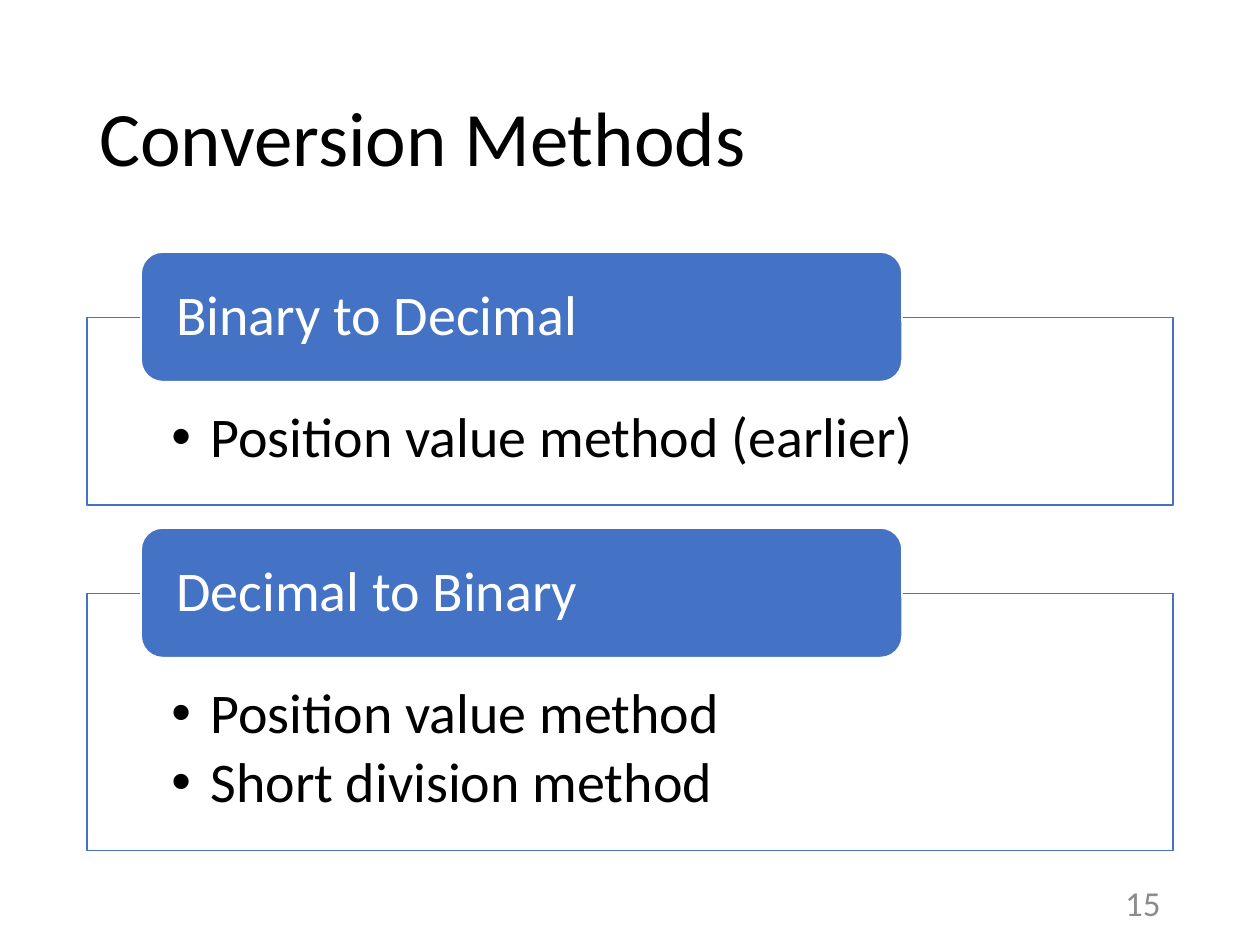
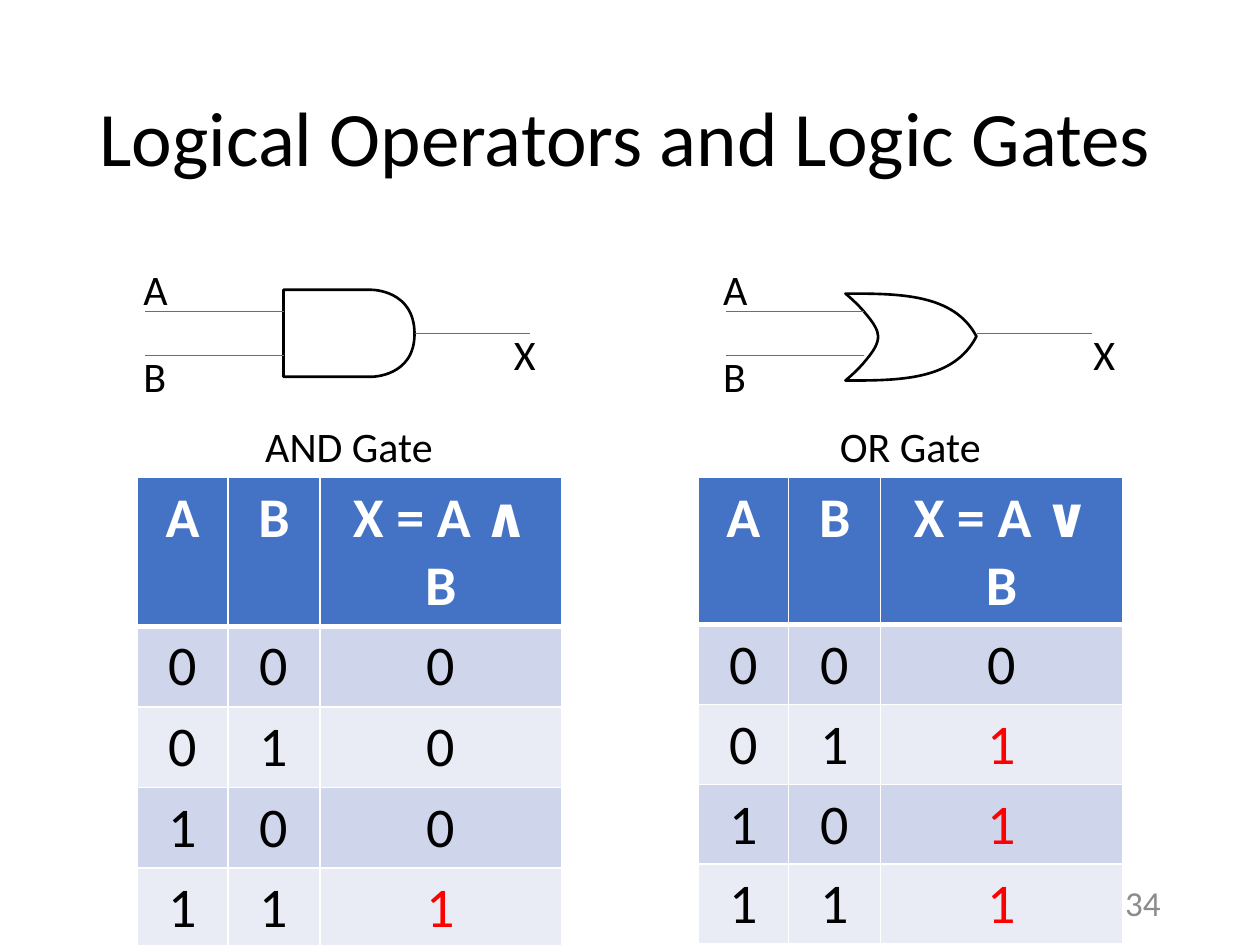
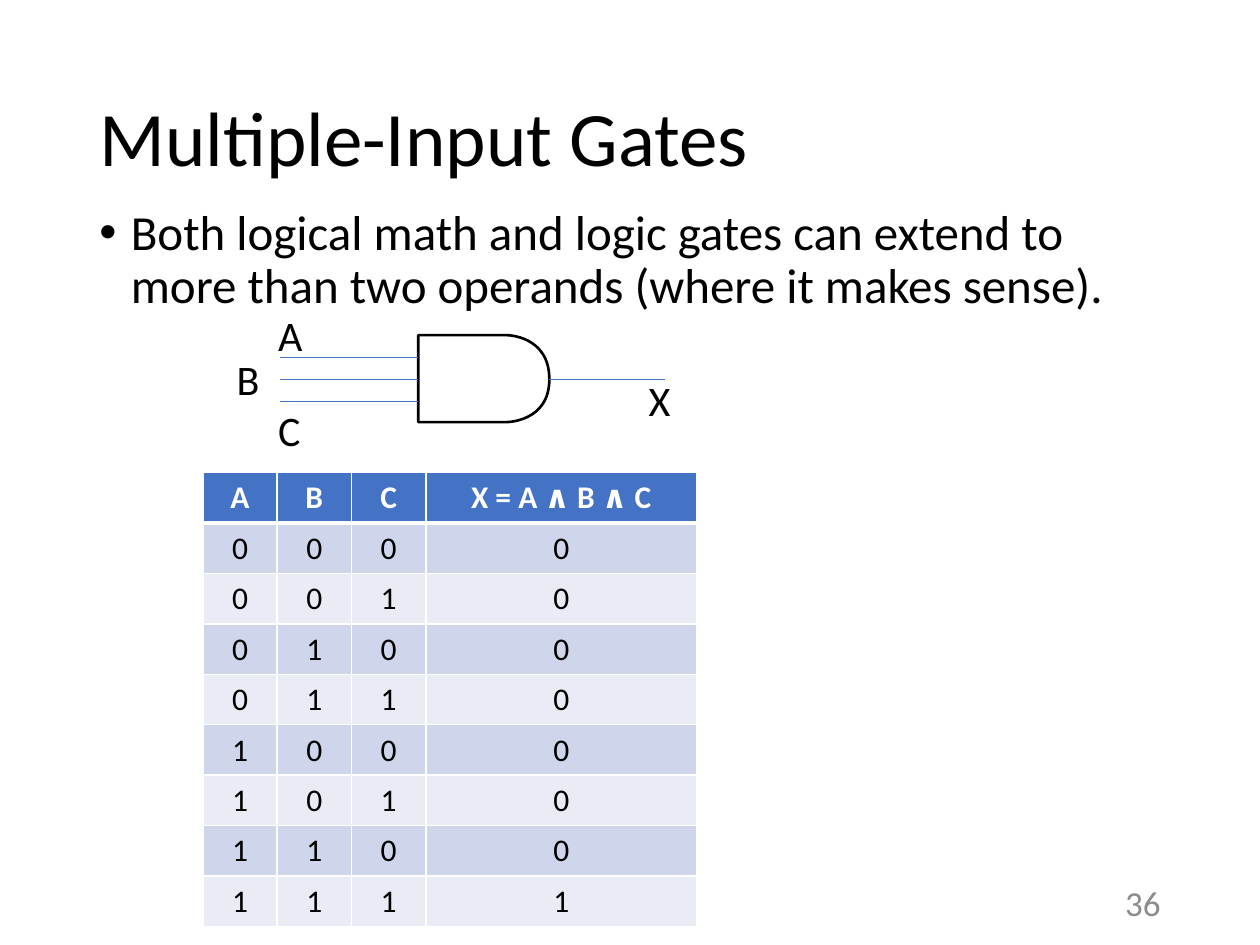
from dataclasses import dataclass
from itertools import product

from lxml.etree import SubElement
from pptx import Presentation
from pptx.dml.color import RGBColor
from pptx.enum.shapes import MSO_CONNECTOR, MSO_SHAPE
from pptx.enum.text import MSO_ANCHOR, MSO_AUTO_SIZE, PP_ALIGN
from pptx.oxml.ns import qn
from pptx.util import Inches, Pt


@dataclass(frozen=True)
class Theme:
    font: str = "Calibri"
    black: str = "000000"
    white: str = "FFFFFF"
    blue: str = "4472C4"
    red: str = "FF0000"
    grey: str = "8C8C8C"
    bands: tuple = ("CFD5EA", "E9EBF5")
    title_size: int = 44
    large_size: int = 32
    body_size: int = 28
    label_size: int = 24
    number_size: int = 20
    small_size: int = 18


THEME = Theme()
GATE_WIDTH = 1.04
INPUT_LENGTH, OUTPUT_LENGTH = 1.1, 0.92
AND_SEGMENTS = [
    [(0.7, 0)],
    [(0.7, 0), (1.04, 0), (1.04, 0.35)],
    [(1.04, 0.69), (0.7, 0.69), (0.7, 0.69)],
    [(0, 0.69)],
]
OR_SEGMENTS = [
    [(0.43, 0), (0.86, 0), (1.04, 0.34)],
    [(0.86, 0.69), (0.43, 0.69), (0, 0.69)],
    [(0, 0.69), (0.1, 0.61), (0.17, 0.52)],
    [(0.22, 0.46), (0.26, 0.4), (0.26, 0.34)],
    [(0.26, 0.29), (0.22, 0.23), (0.17, 0.17)],
    [(0.1, 0.08), (0, 0), (0, 0)],
]


def color(value):
    return RGBColor.from_string(value)


def add_bullet(para, indent):
    properties = para._p.get_or_add_pPr()
    properties.set("marL", str(Inches(indent)))
    properties.set("indent", str(-Inches(indent)))
    SubElement(properties, qn("a:buFont")).set("typeface", "Arial")
    SubElement(properties, qn("a:buChar")).set("char", "•")


def write(frame, *lines, size, ink=THEME.black, bold=False, align=PP_ALIGN.LEFT,
          anchor=None, insets=None, spacing=None, before=0, after=0,
          bullet_indent=None, wrap=True):
    frame.word_wrap = wrap
    if anchor is not None:
        frame.vertical_anchor = anchor
    if insets:
        (frame.margin_left, frame.margin_top,
         frame.margin_right, frame.margin_bottom) = map(Inches, insets)
    for index, line in enumerate(lines):
        para = frame.add_paragraph() if index else frame.paragraphs[0]
        para.alignment = align
        para.line_spacing = spacing
        para.space_before, para.space_after = Pt(before), Pt(after)
        if bullet_indent:
            add_bullet(para, bullet_indent)
        span = para.add_run()
        span.text = line
        span.font.name = THEME.font
        span.font.size = Pt(size)
        span.font.bold = bold
        span.font.color.rgb = color(ink)


def add_text(page, area, *lines, **text_format):
    box = page.shapes.add_textbox(*map(Inches, area))
    write(box.text_frame, *lines, **text_format)
    return box


def add_label(page, text, left, top, width=0.38, align=PP_ALIGN.LEFT):
    box = add_text(page, (left, top, width, 0.5), text,
                   size=THEME.label_size, align=align, wrap=False)
    box.text_frame.auto_size = MSO_AUTO_SIZE.SHAPE_TO_FIT_TEXT


def add_page(deck, title, number):
    page = deck.slides.add_slide(deck.slide_layouts[6])
    add_text(page, (0.69, 0.4, 8.62, 1.45), title, size=THEME.title_size,
             anchor=MSO_ANCHOR.MIDDLE, spacing=0.9)
    add_text(page, (8.64, 6.96, 0.67, 0.4), str(number), size=THEME.number_size,
             ink=THEME.grey, align=PP_ALIGN.RIGHT, anchor=MSO_ANCHOR.MIDDLE)
    return page


def add_panel(page, kind, area, fill, line):
    panel = page.shapes.add_shape(kind, *map(Inches, area))
    panel.shadow.inherit = False
    panel.fill.solid()
    panel.fill.fore_color.rgb = color(fill)
    panel.line.color.rgb = color(line)
    panel.line.width = Pt(1)
    return panel


def add_method_group(page, top, height, heading, methods):
    frame = add_panel(page, MSO_SHAPE.RECTANGLE, (0.69, top + 0.52, 8.62, height),
                      THEME.white, THEME.blue)
    write(frame.text_frame, *methods, size=THEME.large_size, anchor=MSO_ANCHOR.TOP,
          insets=(0.67, 0.73, 0.67, 0.25), spacing=0.9, after=4.5, bullet_indent=0.31)
    tab = add_panel(page, MSO_SHAPE.ROUNDED_RECTANGLE, (1.12, top, 6.04, 1.03),
                    THEME.blue, THEME.white)
    write(tab.text_frame, heading, size=THEME.large_size, ink=THEME.white,
          anchor=MSO_ANCHOR.MIDDLE, insets=(0.23, 0.01, 0.23, 0), spacing=0.9)


def bend_segment(line, points):
    curve = line.makeelement(qn("a:cubicBezTo"), {})
    for x, y in points:
        point = SubElement(curve, qn("a:pt"))
        point.set("x", str(Inches(x)))
        point.set("y", str(Inches(y)))
    line.getparent().replace(line, curve)


def add_gate(page, segments, left, top):
    corners = [(Inches(left + x), Inches(top + y))
               for x, y in (points[-1] for points in segments)]
    builder = page.shapes.build_freeform(Inches(left), Inches(top))
    builder.add_line_segments(corners, close=True)
    gate = builder.convert_to_shape()
    lines = list(gate._element.iter(qn("a:lnTo")))
    for line, points in zip(lines, segments):
        if len(points) == 3:
            bend_segment(line, points)
    gate.shadow.inherit = False
    gate.fill.background()
    gate.line.color.rgb = color(THEME.black)
    gate.line.width = Pt(1.5)


def add_wire(page, start, end, height):
    wire = page.shapes.add_connector(MSO_CONNECTOR.STRAIGHT, Inches(start),
                                     Inches(height), Inches(end), Inches(height))
    wire.line.color.rgb = color(THEME.blue)
    wire.line.width = Pt(0.5)
    SubElement(wire._element.spPr, qn("a:effectLst"))


def add_circuit(page, segments, left, top, axis, input_offsets, labels, inset=0):
    add_gate(page, segments, left, top)
    input_end = left + inset
    for offset in input_offsets:
        add_wire(page, input_end, input_end - INPUT_LENGTH, axis + offset)
    output_start = left + GATE_WIDTH
    add_wire(page, output_start, output_start + OUTPUT_LENGTH, axis)
    for text, label_left, label_top in labels:
        add_label(page, text, label_left, label_top)


def add_borders(cell, bottom):
    properties = cell._tc.get_or_add_tcPr()
    for index, (side, width) in enumerate(
            (("lnL", 1), ("lnR", 1), ("lnT", 1), ("lnB", bottom))):
        border = properties.makeelement(qn(f"a:{side}"), {"w": str(Pt(width))})
        fill = SubElement(border, qn("a:solidFill"))
        SubElement(fill, qn("a:srgbClr")).set("val", THEME.white)
        properties.insert(index, border)


def add_truth_table(page, left, top, row_heights, widths, heading, operator, size,
                    true_ink=THEME.black):
    names = "ABC"[:len(widths) - 1]
    rows = [[*names, heading]]
    rows += [[*values, int(operator(values))]
             for values in product((0, 1), repeat=len(names))]
    header_height, body_height = row_heights
    height = header_height + body_height * (len(rows) - 1)
    table = page.shapes.add_table(len(rows), len(widths), Inches(left), Inches(top),
                                  Inches(sum(widths)), Inches(height)).table
    for column, width in zip(table.columns, widths):
        column.width = Inches(width)
    for row_index, values in enumerate(rows):
        header = row_index == 0
        table.rows[row_index].height = Inches(header_height if header else body_height)
        for column_index, value in enumerate(values):
            cell = table.cell(row_index, column_index)
            cell.fill.solid()
            cell.fill.fore_color.rgb = color(
                THEME.blue if header else THEME.bands[(row_index - 1) % 2])
            true_output = column_index == len(names) and value == 1
            ink = THEME.white if header else true_ink if true_output else THEME.black
            write(cell.text_frame, str(value), size=size, ink=ink, bold=header,
                  align=PP_ALIGN.CENTER)
            add_borders(cell, 3 if header else 1)


def build_conversion_methods(deck):
    page = add_page(deck, "Conversion Methods", 15)
    add_method_group(page, 2, 1.49, "Binary to Decimal",
                     ["Position value method (earlier)"])
    add_method_group(page, 4.19, 2.04, "Decimal to Binary",
                     ["Position value method", "Short division method"])


def build_logic_gates(deck):
    page = add_page(deck, "Logical Operators and Logic Gates", 34)
    axis, offsets = 2.65, (-0.18, 0.17)
    widths = (0.72, 0.73, 1.92)
    add_circuit(page, AND_SEGMENTS, 2.25, 2.3, axis, offsets,
                [("A", 1.04, 2.04), ("B", 1.04, 2.73), ("X", 3.98, 2.56)])
    add_circuit(page, OR_SEGMENTS, 6.71, 2.33, axis, offsets,
                [("A", 5.64, 2.04), ("B", 5.64, 2.73), ("X", 8.58, 2.56)], inset=0.15)
    add_label(page, "AND Gate", 2, 3.29, 1.54, PP_ALIGN.CENTER)
    add_label(page, "OR Gate", 6.56, 3.29, 1.33, PP_ALIGN.CENTER)
    for left, row_heights, heading, operator in (
            (1.09, (1.18, 0.64), "X = A ∧ B", all),
            (5.54, (0.41, 0.41), "X = A ∨ B", any)):
        add_truth_table(page, left, 3.79, row_heights, widths, heading, operator,
                        THEME.large_size, THEME.red)


def build_multiple_inputs(deck):
    page = add_page(deck, "Multiple-Input Gates", 36)
    add_text(page, (0.69, 1.6, 8.62, 4.76),
             "Both logical math and logic gates can extend to more than two operands "
             "(where it makes sense).",
             size=THEME.body_size, spacing=0.9, before=10, bullet_indent=0.25)
    add_circuit(page, AND_SEGMENTS, 3.32, 2.66, 3.01, (-0.17, 0, 0.18),
                [("A", 2.11, 2.41), ("B", 1.78, 2.76), ("C", 2.11, 3.16),
                 ("X", 5.05, 2.92)])
    add_truth_table(page, 1.61, 3.75, (0.4, 0.4), (0.59, 0.59, 0.59, 2.15),
                    "X = A ∧ B ∧ C", all, THEME.small_size)


def main():
    deck = Presentation()
    deck.slide_width, deck.slide_height = Inches(10), Inches(7.5)
    build_conversion_methods(deck)
    build_logic_gates(deck)
    build_multiple_inputs(deck)
    deck.save("out.pptx")


if __name__ == "__main__":
    main()
